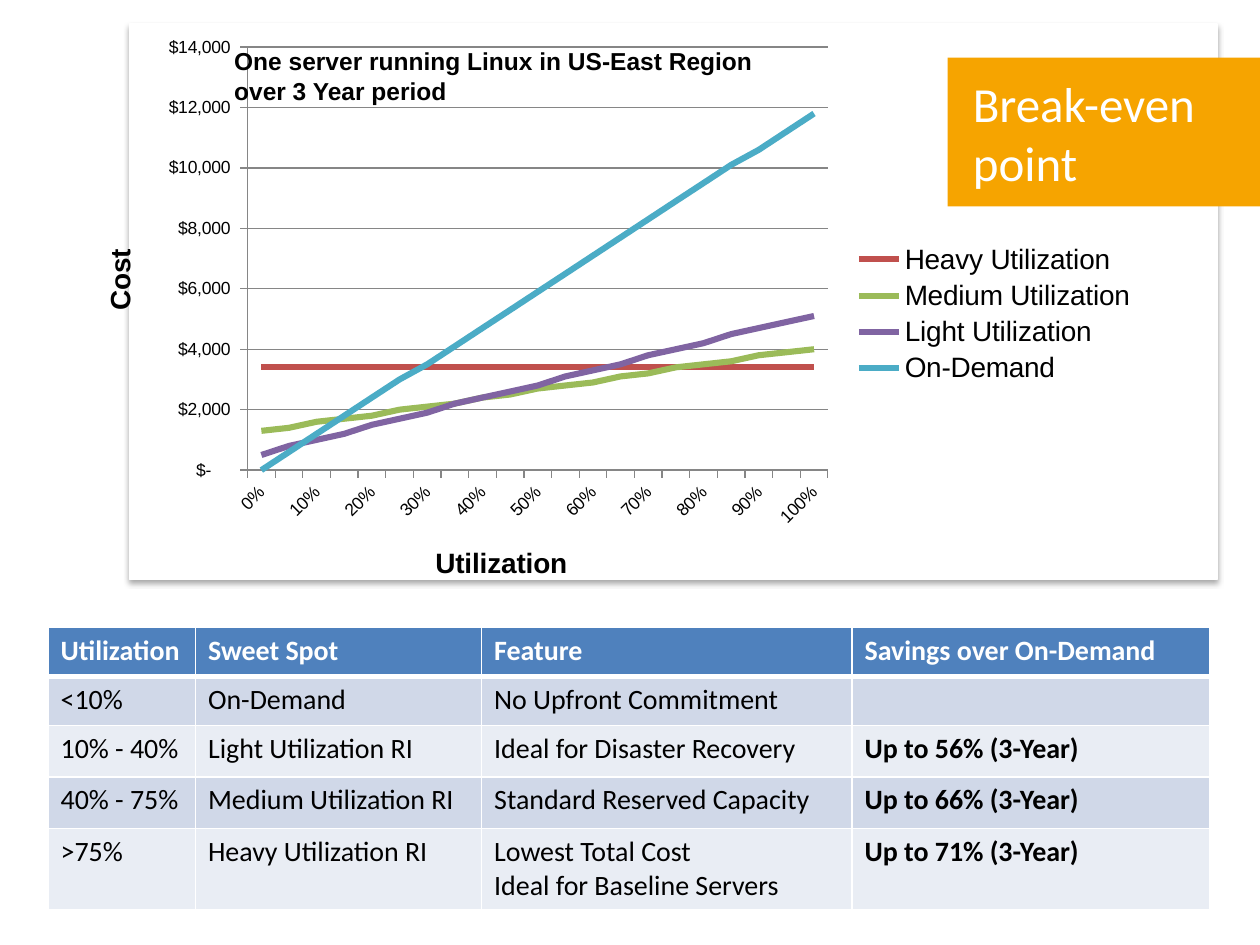
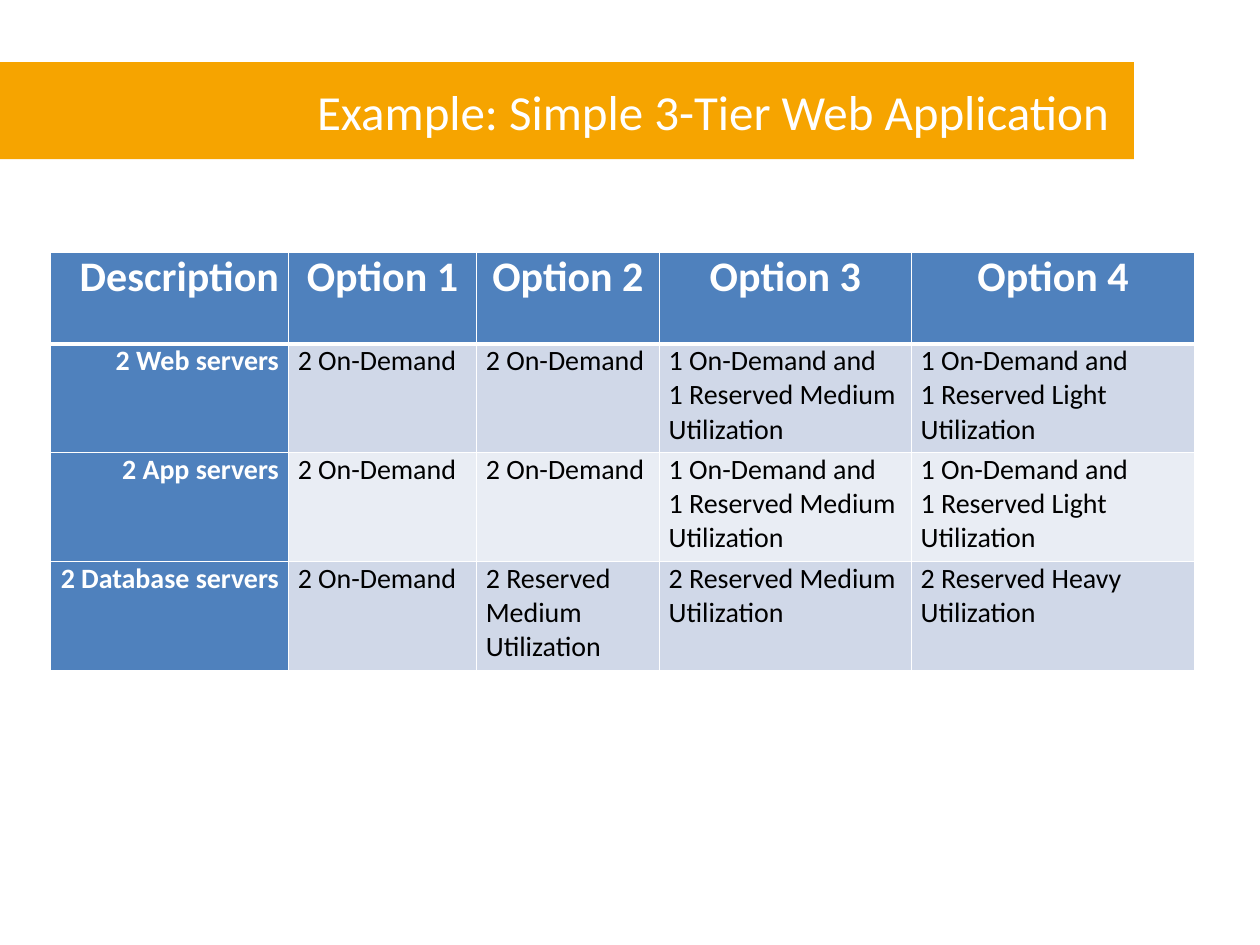
from lxml.etree import SubElement
from pptx import Presentation
from pptx.chart.data import CategoryChartData
from pptx.dml.color import RGBColor
from pptx.enum.chart import XL_CHART_TYPE, XL_LEGEND_POSITION, XL_TICK_MARK
from pptx.enum.shapes import MSO_SHAPE
from pptx.enum.text import MSO_ANCHOR, PP_ALIGN
from pptx.oxml import parse_xml
from pptx.oxml.ns import nsdecls, qn
from pptx.util import Pt

COLORS = {
    "white": "FFFFFF", "black": "000000", "band": "F6A400", "header": "4F81BD",
    "odd_row": "D0D8E8", "even_row": "E9EDF4", "grid": "868686",
    "heavy": "C0504D", "medium": "9BBB59", "light": "8064A2", "on_demand": "4BACC6",
}
TITLE = {"size": Pt(28), "name": "Calibri", "bold": False}
BODY = {"size": Pt(16), "name": "Calibri", "bold": False}
BOLD_BODY = {**BODY, "bold": True}
LARGE_HEADER = {**BOLD_BODY, "size": Pt(24)}
CAPTION = {"size": Pt(14), "name": "Arial", "bold": True}
AXIS_TITLE = {"size": Pt(16), "name": "Arial", "bold": True}

COSTS = {
    "Heavy Utilization": ("heavy", [3400] * 21),
    "Medium Utilization": ("medium", [
        1300, 1400, 1600, 1700, 1800, 2000, 2100, 2200, 2400, 2500, 2700,
        2800, 2900, 3100, 3200, 3400, 3500, 3600, 3800, 3900, 4000]),
    "Light Utilization": ("light", [
        500, 800, 1000, 1200, 1500, 1700, 1900, 2200, 2400, 2600, 2800,
        3100, 3300, 3500, 3800, 4000, 4200, 4500, 4700, 4900, 5100]),
    "On-Demand": ("on_demand", [
        0, 600, 1200, 1800, 2400, 3000, 3500, 4100, 4700, 5300, 5900,
        6500, 7100, 7700, 8300, 8900, 9500, 10100, 10600, 11200, 11800]),
}
SWEET_SPOTS = [
    ["Utilization", "Sweet Spot", "Feature", "Savings over On-Demand"],
    ["<10%", "On-Demand", "No Upfront Commitment", ""],
    ["10% - 40%", "Light Utilization RI", "Ideal for Disaster Recovery", "Up to 56% (3-Year)"],
    ["40% - 75%", "Medium Utilization RI", "Standard Reserved Capacity", "Up to 66% (3-Year)"],
    [">75%", "Heavy Utilization RI", "Lowest Total Cost\nIdeal for Baseline Servers",
     "Up to 71% (3-Year)"],
]
MIXED_MEDIUM = "1 On-Demand and\n1 Reserved Medium Utilization"
MIXED_LIGHT = "1 On-Demand and\n1 Reserved Light Utilization"
SERVER_OPTIONS = [
    ["Description", "Option 1", "Option 2", "Option 3", "Option 4"],
    ["2 Web servers", "2 On-Demand", "2 On-Demand", MIXED_MEDIUM, MIXED_LIGHT],
    ["2 App servers", "2 On-Demand", "2 On-Demand", MIXED_MEDIUM, MIXED_LIGHT],
    ["2 Database servers", "2 On-Demand", "2 Reserved Medium Utilization",
     "2 Reserved Medium Utilization", "2 Reserved Heavy Utilization"],
]


def rgb(color):
    return RGBColor.from_string(COLORS[color])


def format_font(font, font_format, color):
    for name, value in font_format.items():
        setattr(font, name, value)
    font.color.rgb = rgb(color)


def write_text(text_frame, text, font_format, color, alignment=PP_ALIGN.LEFT):
    """Write each line of the text as a paragraph of its own."""
    for index, line in enumerate(text.split("\n")):
        paragraph = text_frame.paragraphs[0] if index == 0 else text_frame.add_paragraph()
        paragraph.alignment = alignment
        run = paragraph.add_run()
        run.text = line
        format_font(run.font, font_format, color)


def set_margins(target, horizontal, vertical):
    for side in ("left", "right"):
        setattr(target, f"margin_{side}", Pt(horizontal))
    for side in ("top", "bottom"):
        setattr(target, f"margin_{side}", Pt(vertical))


def add_rectangle(slide, box, color):
    shape = slide.shapes.add_shape(MSO_SHAPE.RECTANGLE, *map(Pt, box))
    shape.shadow.inherit = False
    shape.fill.solid()
    shape.fill.fore_color.rgb = rgb(color)
    shape.line.fill.background()
    return shape


def add_title_band(slide, box, text, alignment):
    text_frame = add_rectangle(slide, box, "band").text_frame
    text_frame.word_wrap = True
    text_frame.vertical_anchor = MSO_ANCHOR.MIDDLE
    set_margins(text_frame, 14.4, 8.64)
    write_text(text_frame, text, TITLE, "white", alignment)


def add_card(slide, box):
    card = add_rectangle(slide, box, "white")
    card.line.color.rgb = rgb("white")
    card.line.width = Pt(0.75)
    effects = card._element.spPr.find(qn("a:effectLst"))
    shadow = SubElement(effects, qn("a:outerShdw"), blurRad=str(Pt(3.1)), dist=str(Pt(1.8)),
                        dir="5400000", rotWithShape="0")
    shadow_color = SubElement(shadow, qn("a:srgbClr"), val=COLORS["black"])
    SubElement(shadow_color, qn("a:alpha"), val="35000")


def add_caption(slide, box, text):
    text_frame = slide.shapes.add_textbox(*map(Pt, box)).text_frame
    text_frame.word_wrap = True
    write_text(text_frame, text, CAPTION, "black")


def set_borders(cell, row):
    """Draw thin white borders, thick below the header row."""
    properties = cell._tc.get_or_add_tcPr()
    widths = {"L": 1, "R": 1, "T": 3 if row == 1 else 1, "B": 3 if row == 0 else 1}
    for side, width in widths.items():
        line = SubElement(properties, qn(f"a:ln{side}"), w=str(Pt(width)))
        fill = SubElement(line, qn("a:solidFill"))
        SubElement(fill, qn("a:srgbClr"), val=COLORS["white"])


def add_banded_table(slide, corner, widths, heights, rows, cell_style, margins):
    """Build a table; cell_style(row, column) gives font format, alignment and header flag."""
    table = slide.shapes.add_table(len(rows), len(widths), *map(Pt, corner),
                                   Pt(sum(widths)), Pt(sum(heights))).table
    for column, width in zip(table.columns, widths):
        column.width = Pt(width)
    for row, height in zip(table.rows, heights):
        row.height = Pt(height)
    for row, texts in enumerate(rows):
        for column, text in enumerate(texts):
            font_format, alignment, is_header = cell_style(row, column)
            cell = table.cell(row, column)
            set_margins(cell, *margins)
            set_borders(cell, row)
            cell.fill.solid()
            band = "odd_row" if row % 2 else "even_row"
            cell.fill.fore_color.rgb = rgb("header" if is_header else band)
            write_text(cell.text_frame, text, font_format,
                       "white" if is_header else "black", alignment)


def sweet_spot_style(row, column):
    font_format = BOLD_BODY if row == 0 or column == 3 else BODY
    return font_format, PP_ALIGN.LEFT, row == 0


def server_option_style(row, column):
    if row == 0:
        return LARGE_HEADER, PP_ALIGN.CENTER if column else PP_ALIGN.RIGHT, True
    if column == 0:
        return BOLD_BODY, PP_ALIGN.RIGHT, True
    return BODY, PP_ALIGN.LEFT, False


def place(element, predecessor, **fractions):
    """Fix a chart part at fractions of the chart's size."""
    for old_layout in element.findall(qn("c:layout")):
        element.remove(old_layout)
    layout = parse_xml(f"<c:layout {nsdecls('c')}><c:manualLayout/></c:layout>")
    settings = {"xMode": "edge", "yMode": "edge", **fractions}
    if predecessor is None:
        element.insert(0, layout)
        settings = {"layoutTarget": "inner", **settings}
    else:
        element.find(qn(predecessor)).addnext(layout)
    for name, value in settings.items():
        SubElement(layout[0], qn(f"c:{name}"), val=str(value))


def format_axis(axis, title, number_format, x, y):
    axis.major_tick_mark = XL_TICK_MARK.OUTSIDE
    axis.format.line.color.rgb = rgb("grid")
    axis.tick_labels.number_format = number_format
    axis.tick_labels.number_format_is_linked = False
    format_font(axis.tick_labels.font, {"size": Pt(10), "name": "Arial"}, "black")
    write_text(axis.axis_title.text_frame, title, AXIS_TITLE, "black", PP_ALIGN.CENTER)
    place(axis.axis_title._element, "c:tx", x=x, y=y)


def add_cost_chart(slide, box):
    data = CategoryChartData(number_format="#,##0")
    data.categories = [f"{percent}%" for percent in range(0, 101, 5)]
    for name, (_, values) in COSTS.items():
        data.add_series(name, values)
    chart = slide.shapes.add_chart(XL_CHART_TYPE.LINE, *map(Pt, box), data).chart
    format_font(chart.font, {"size": Pt(10), "name": "Arial"}, "black")
    chart.has_title = False
    chart.plots[0].vary_by_categories = False
    for series, (color, _) in zip(chart.plots[0].series, COSTS.values()):
        series.smooth = False
        series.format.line.color.rgb = rgb(color)
        series.format.line.width = Pt(3.5)

    category_axis, value_axis = chart.category_axis, chart.value_axis
    format_axis(category_axis, "Utilization", "0%", 0.33, 0.89)
    category_axis._element.find(qn("c:txPr")).find(qn("a:bodyPr")).set("rot", "-2700000")
    label_skip = parse_xml(f'<c:tickLblSkip {nsdecls("c")} val="2"/>')
    category_axis._element.find(qn("c:noMultiLvlLbl")).addprevious(label_skip)

    accounting = r'_("$"* #,##0_);_("$"* \(#,##0\);_("$"* "-"??_);_(@_)'
    format_axis(value_axis, "Cost", accounting, 0.02, 0.38)
    body = value_axis.axis_title._element.find(".//" + qn("a:bodyPr"))
    body.set("rot", "-5400000")
    body.set("vert", "horz")
    value_axis.minimum_scale = 0
    value_axis.maximum_scale = 14000
    value_axis.major_unit = 2000
    value_axis.has_major_gridlines = True
    value_axis.major_gridlines.format.line.color.rgb = rgb("grid")

    chart.has_legend = True
    chart.legend.position = XL_LEGEND_POSITION.RIGHT
    chart.legend.include_in_layout = False
    format_font(chart.legend.font, {"size": Pt(16), "name": "Arial"}, "black")
    place(chart.legend._element, "c:legendPos", x=0.72, y=0.37, w=0.27, h=0.26)
    plot_area = chart._chartSpace.find(".//" + qn("c:plotArea"))
    place(plot_area, None, x=0.16, y=0.04, w=0.54, h=0.73)


def add_break_even_slide(slide):
    add_card(slide, (74, 13.7, 621.5, 317.5))
    add_banded_table(slide, (27.5, 358.5), (84.25, 163.5, 211.7, 204.5),
                     (28, 28, 29.5, 29.5, 46), SWEET_SPOTS, sweet_spot_style, (7.2, 3.6))
    add_cost_chart(slide, (43.2, 13.7, 614.2, 331.2))
    add_caption(slide, (126.7, 23, 342, 41.8),
                "One server running Linux in US-East Region\nover 3 Year period")
    add_title_band(slide, (541.5, 33, 178.5, 85), "Break-even point", PP_ALIGN.LEFT)


def add_web_application_slide(slide):
    add_title_band(slide, (0, 35.5, 648, 55.5), "Example: Simple 3-Tier Web Application",
                   PP_ALIGN.RIGHT)
    add_banded_table(slide, (28.8, 144), (136, 107.5, 104.5, 144, 162),
                     (52.5, 62.2, 62.2, 62.2), SERVER_OPTIONS, server_option_style, (5.4, 0))


def main():
    presentation = Presentation()
    presentation.slide_width, presentation.slide_height = Pt(720), Pt(540)
    blank = presentation.slide_layouts[6]
    for build in (add_break_even_slide, add_web_application_slide):
        build(presentation.slides.add_slide(blank))
    presentation.save("out.pptx")


if __name__ == "__main__":
    main()
